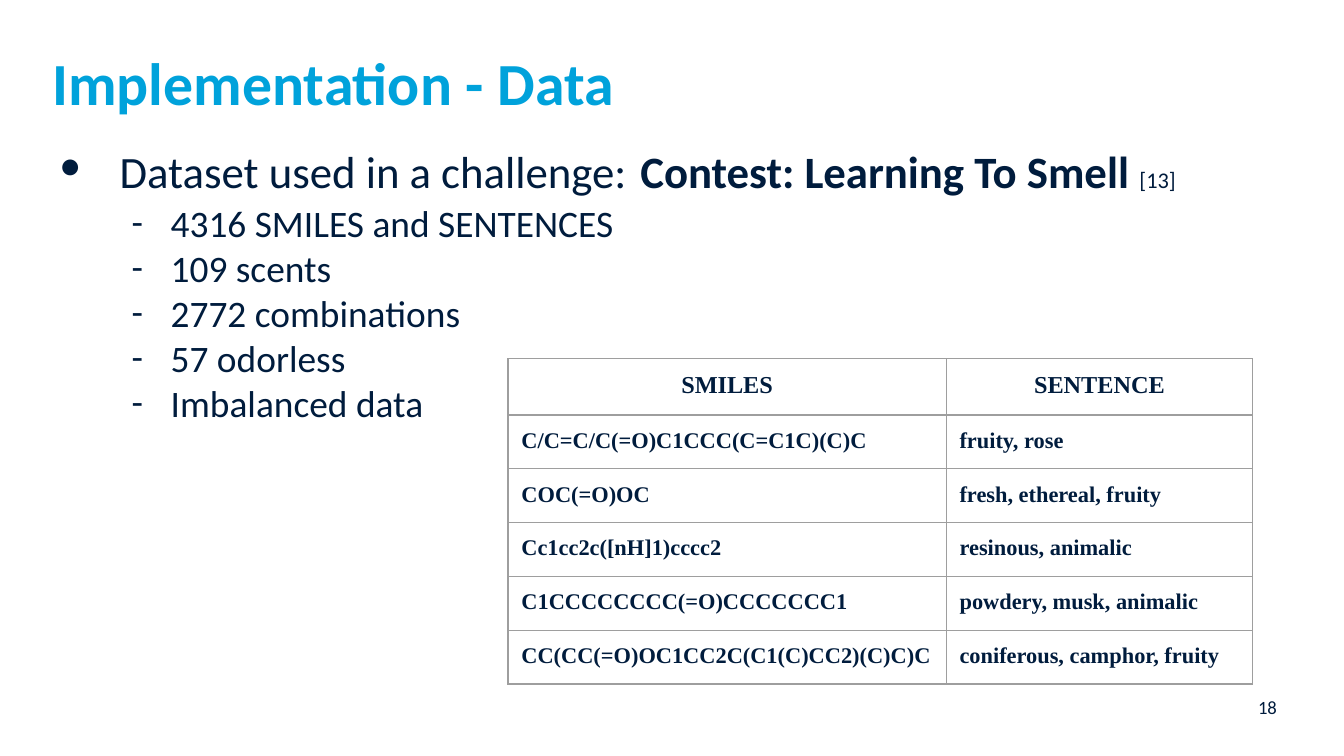
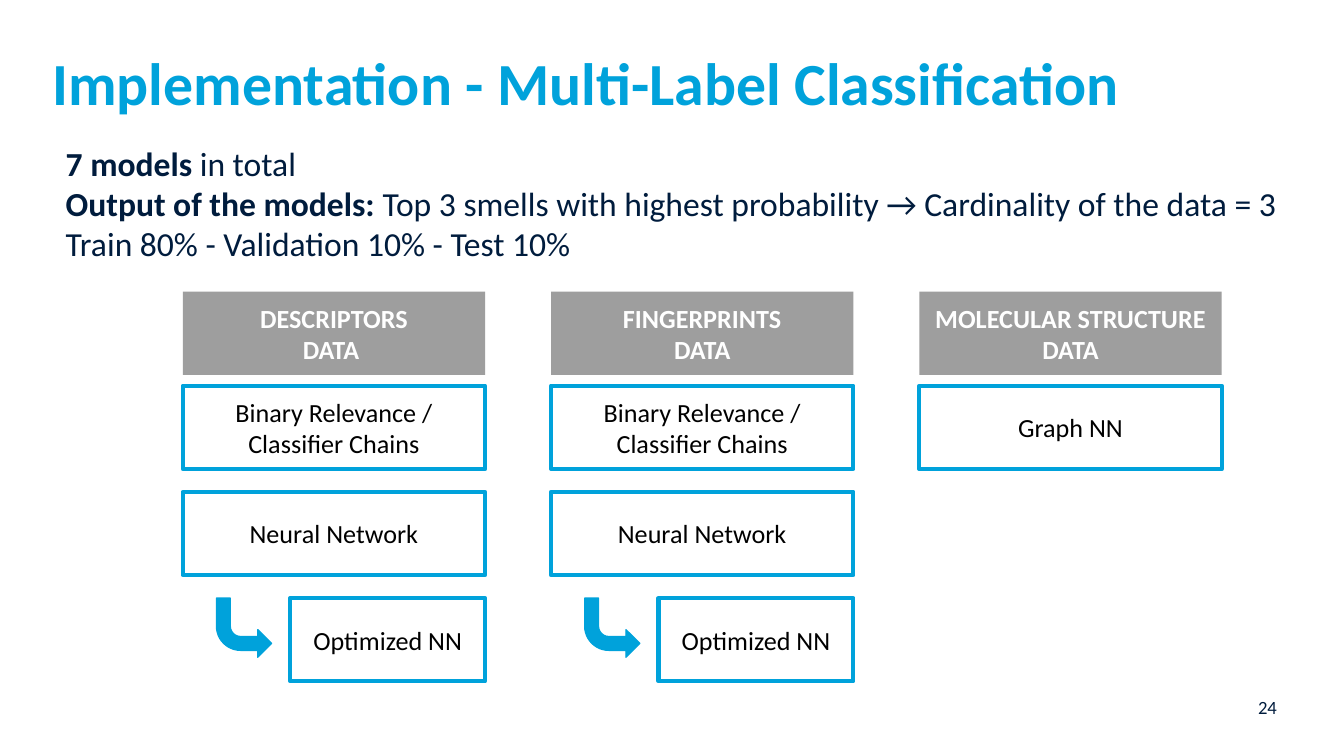
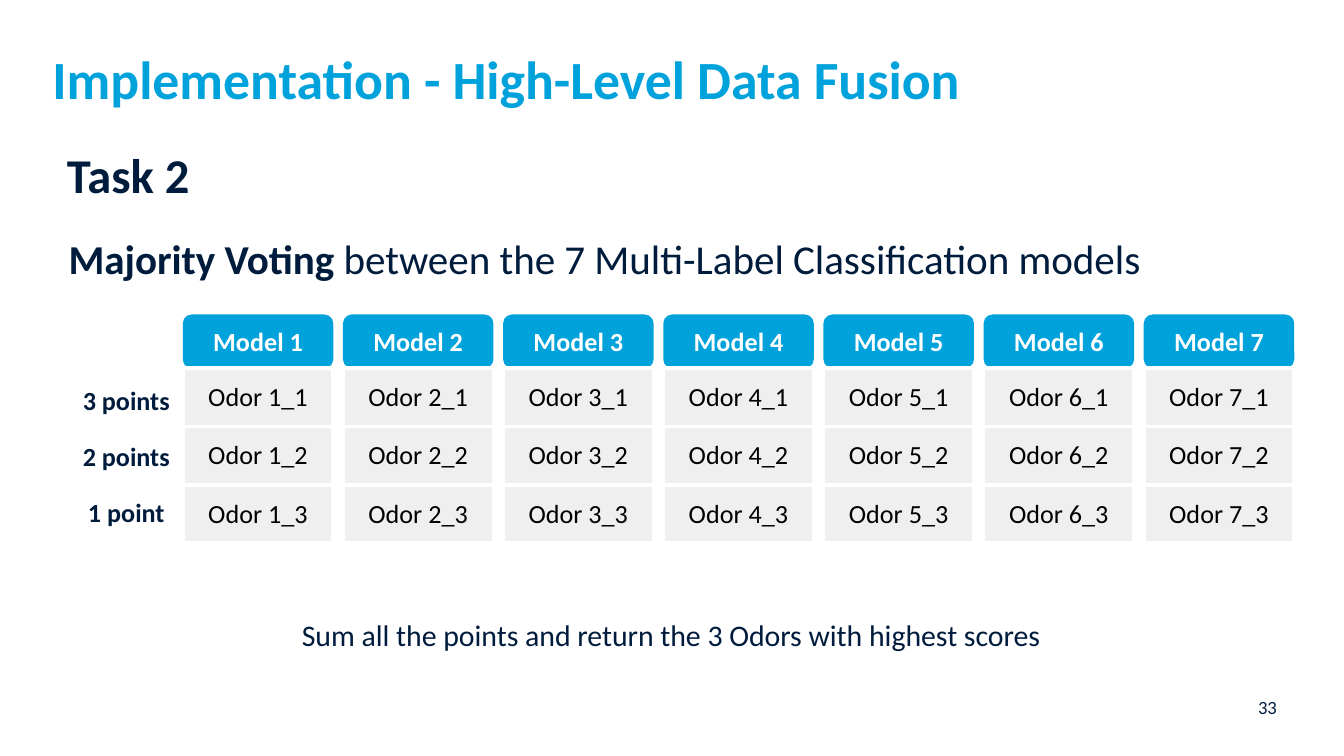
from dataclasses import dataclass

from lxml.etree import SubElement
from pptx import Presentation
from pptx.dml.color import RGBColor
from pptx.enum.shapes import MSO_SHAPE
from pptx.enum.text import MSO_ANCHOR, PP_ALIGN
from pptx.oxml.ns import qn
from pptx.util import Inches, Pt


@dataclass(frozen=True)
class Theme:
    blue: str = "00A2DB"
    navy: str = "001C3D"
    gray: str = "9E9E9E"
    pale: str = "EFEFEF"
    white: str = "FFFFFF"
    black: str = "000000"
    font: str = "Calibri"
    table_font: str = "Times New Roman"
    title: float = 32
    small_title: float = 28.8
    task: float = 26
    lead: float = 24
    voting: float = 22
    fact: float = 20
    summary: float = 18
    rule: float = 16
    label: float = 14
    table_header: float = 13
    small: float = 12
    number: float = 10


theme = Theme()
WIDTH = 10
HEIGHT = WIDTH * 9 / 16
LEFT, CONTENT_WIDTH = 0.39, 9.11
GRID_LEFT = 1.36
PADDING = 0.1


def write_text(frame, paragraphs, padding=PADDING, align=PP_ALIGN.LEFT, **style):
    """Fill a frame; a paragraph is a string or a list of (text, style changes)."""
    frame.word_wrap = True
    for side in ("left", "top", "right", "bottom"):
        setattr(frame, f"margin_{side}", Inches(padding))
    for index, runs in enumerate(paragraphs):
        paragraph = frame.add_paragraph() if index else frame.paragraphs[0]
        paragraph.alignment = align
        for text, changes in [(runs, {})] if isinstance(runs, str) else runs:
            look = {"name": theme.font, "size": theme.label, "bold": False,
                    "color": theme.navy, **style, **changes}
            run = paragraph.add_run()
            run.text = text
            run.font.color.rgb = RGBColor.from_string(look.pop("color"))
            look["size"] = Pt(look["size"])
            for name, value in look.items():
                setattr(run.font, name, value)


def add_box(slide, box, paragraphs=(), preset=None, fill=None, line=None,
            line_width=2.25, anchor=MSO_ANCHOR.TOP, **text_format):
    """Add a text box, or a filled preset shape, at (left, top, width, height)."""
    place = [Inches(length) for length in box]
    if preset is None:
        shape = slide.shapes.add_textbox(*place)
    else:
        shape = slide.shapes.add_shape(preset, *place)
        shape.shadow.inherit = False
        shape.fill.solid()
        shape.fill.fore_color.rgb = RGBColor.from_string(fill)
        if line:
            shape.line.color.rgb = RGBColor.from_string(line)
            shape.line.width = Pt(line_width)
        else:
            shape.line.fill.background()
    shape.text_frame.vertical_anchor = anchor
    write_text(shape.text_frame, paragraphs, **text_format)
    return shape


presentation = Presentation()
presentation.slide_width, presentation.slide_height = Inches(WIDTH), Inches(HEIGHT)

# Titles and slide numbers
slides = []
for title, size, number in [
    ("Implementation - Data", theme.title, "18"),
    ("Implementation - Multi-Label Classification", theme.title, "24"),
    ("Implementation - High-Level Data Fusion", theme.small_title, "33"),
]:
    slide = presentation.slides.add_slide(presentation.slide_layouts[6])
    add_box(slide, (LEFT, 0.34, CONTENT_WIDTH, 0.62), [title], padding=0,
            size=size, bold=True, color=theme.blue)
    add_box(slide, (9.09, 5.18, 0.41, 0.3), [number], padding=0,
            align=PP_ALIGN.RIGHT, size=theme.number)
    slides.append(slide)
data_slide, models_slide, fusion_slide = slides
centered = {"align": PP_ALIGN.CENTER, "anchor": MSO_ANCHOR.MIDDLE}

# Data: dataset facts
facts = add_box(data_slide, (LEFT, 0.96, CONTENT_WIDTH, 4.46), [
    [("Dataset used in a challenge:", {"size": theme.lead}), (" ", {"size": theme.title}),
     ("Contest: Learning To Smell ", {"size": theme.lead, "bold": True}),
     ("[13]", {"size": theme.small})],
    "4316 SMILES and SENTENCES", "109 scents", "2772 combinations",
    "57 odorless", "Imbalanced data",
], padding=0, size=theme.fact)
for index, paragraph in enumerate(facts.text_frame.paragraphs):
    margin, indent, bullet, size = (
        (0.88, -0.29, "-", theme.fact) if index else (0.5, -0.45, "•", theme.lead))
    paragraph.level = min(index, 1)
    properties = paragraph._p.get_or_add_pPr()
    properties.set("marL", str(Inches(margin)))
    properties.set("indent", str(Inches(indent)))
    SubElement(SubElement(properties, qn("a:buClr")), qn("a:srgbClr"), val=theme.navy)
    SubElement(properties, qn("a:buSzPts"), val=str(size * 100))
    SubElement(properties, qn("a:buFont"), typeface=theme.font)
    SubElement(properties, qn("a:buChar"), char=bullet)

# Multi-label classification: one column of models per kind of data
add_box(models_slide, (LEFT, 0.96, 9.32, 1.11), [
    [("7 models", {"bold": True}), (" in total", {})],
    [("Output of the models:", {"bold": True}),
     (" Top 3 smells with highest probability → Cardinality of the data = 3", {})],
    "Train 80% - Validation 10% - Test 10%",
], size=theme.summary)
COLUMN_STEP, COLUMN_WIDTH, BOX_HEIGHT = 2.74, 2.25, 0.62
MODEL_TOP, MODEL_STEP, OPTIMIZED_WIDTH = 2.87, 0.79, 1.45
shared_models = ["Binary Relevance / Classifier Chains", "Neural Network", "Optimized NN"]
for column, (heading, models) in enumerate([
    (["DESCRIPTORS", "DATA "], shared_models),
    (["FINGERPRINTS", "DATA"], shared_models),
    (["MOLECULAR STRUCTURE", "DATA"], ["Graph NN"]),
]):
    left = GRID_LEFT + column * COLUMN_STEP
    add_box(models_slide, (left, 2.17, COLUMN_WIDTH, BOX_HEIGHT), heading,
            MSO_SHAPE.RECTANGLE, theme.gray, color=theme.white, bold=True, **centered)
    for row, model in enumerate(models):
        top = MODEL_TOP + row * MODEL_STEP
        optimized = model == "Optimized NN"
        width = OPTIMIZED_WIDTH if optimized else COLUMN_WIDTH
        add_box(models_slide, (left + COLUMN_WIDTH - width, top, width, BOX_HEIGHT), [model],
                MSO_SHAPE.RECTANGLE, theme.white, theme.blue, color=theme.black, **centered)
        if optimized:
            arrow = add_box(models_slide, (left + 0.25, top, 0.41, 0.44),
                            preset=MSO_SHAPE.BENT_ARROW, fill=theme.blue,
                            line=theme.blue, line_width=0.75)
            arrow.rotation = 180
            arrow._element.spPr.xfrm.set("flipH", "1")
            arrow.adjustments[3] = 0.44

# High-level data fusion: voting by points
add_box(fusion_slide, (0.4, 0.98, CONTENT_WIDTH, 0.53), ["Task 2"],
        size=theme.task, bold=True)
add_box(fusion_slide, (0.51, 1.74, 8.31, 0.4), [
    [("Majority Voting", {"bold": True}),
     (" between the 7 Multi-Label Classification models", {})],
], padding=0, size=theme.voting)
for top, points in [(2.83, "3 points"), (3.24, "2 points"), (3.66, "1 point")]:
    add_box(fusion_slide, (0.45, top, 0.98, 0.3), [points], bold=True, **centered)
rule = add_box(fusion_slide, (1.79, 4.28, 6.41, 0.75),
               ["Sum all the points and return the 3 Odors with highest scores"],
               size=theme.rule, **centered)
rule.text_frame.paragraphs[0].line_spacing = 1.5

# Tables: slide, left, top, column widths, row heights, border, fill, text styles, rows
scent_rows = [
    ("SMILES", "SENTENCE"),
    ("C/C=C/C(=O)C1CCC(C=C1C)(C)C", "fruity, rose"),
    ("COC(=O)OC", "fresh, ethereal, fruity"),
    ("Cc1cc2c([nH]1)cccc2", "resinous, animalic"),
    ("C1CCCCCCCC(=O)CCCCCCC1", "powdery, musk, animalic"),
    ("CC(CC(=O)OC1CC2C(C1(C)CC2)(C)C)C", "coniferous, camphor, fruity"),
]
scent_style = {"name": theme.table_font, "size": theme.small, "bold": True}
header_style = {"size": theme.table_header, "align": PP_ALIGN.CENTER}
tables = [(data_slide, 3.78, 2.67, (3.26, 2.28), [0.33] * 5 + [0.37], (theme.gray, 0.75),
           None, scent_style, header_style, scent_rows)]
MODEL_COUNT, MODEL_WIDTH, LAST_MODEL_LEFT = 7, 1.12, 8.51
model_step = (LAST_MODEL_LEFT - GRID_LEFT) / (MODEL_COUNT - 1)
odor_style = {"color": theme.black, "align": PP_ALIGN.CENTER}
for model in range(1, MODEL_COUNT + 1):
    left = GRID_LEFT + (model - 1) * model_step
    add_box(fusion_slide, (left, 2.34, MODEL_WIDTH, 0.4), [f"Model {model}"],
            MSO_SHAPE.ROUNDED_RECTANGLE, theme.blue, color=theme.white, bold=True, **centered)
    odors = [(f"Odor {model}_{rank}",) for rank in range(1, 4)]
    tables.append((fusion_slide, left, 2.74, (MODEL_WIDTH,), [0.42] * 3, (theme.white, 2.25),
                   theme.pale, odor_style, {}, odors))

for (slide, left, top, widths, heights, (border, border_width), fill,
     style, first_row_style, rows) in tables:
    table = slide.shapes.add_table(
        len(rows), len(widths), Inches(left), Inches(top),
        Inches(sum(widths)), Inches(sum(heights))).table
    table.first_row = table.horz_banding = False
    for column, width in zip(table.columns, widths):
        column.width = Inches(width)
    for row, texts in enumerate(rows):
        table.rows[row].height = Inches(heights[row])
        for column, text in enumerate(texts):
            cell = table.cell(row, column)
            for side in ("left", "top", "right", "bottom"):
                setattr(cell, f"margin_{side}", Inches(PADDING))
            write_text(cell.text_frame, [text], **{**style, **({} if row else first_row_style)})
            properties = cell._tc.get_or_add_tcPr()
            for edge in "LRTB":
                edge_line = SubElement(properties, qn(f"a:ln{edge}"), w=str(Pt(border_width)))
                SubElement(SubElement(edge_line, qn("a:solidFill")), qn("a:srgbClr"), val=border)
            if fill:
                cell.fill.solid()
                cell.fill.fore_color.rgb = RGBColor.from_string(fill)
            else:
                cell.fill.background()

presentation.save("out.pptx")
